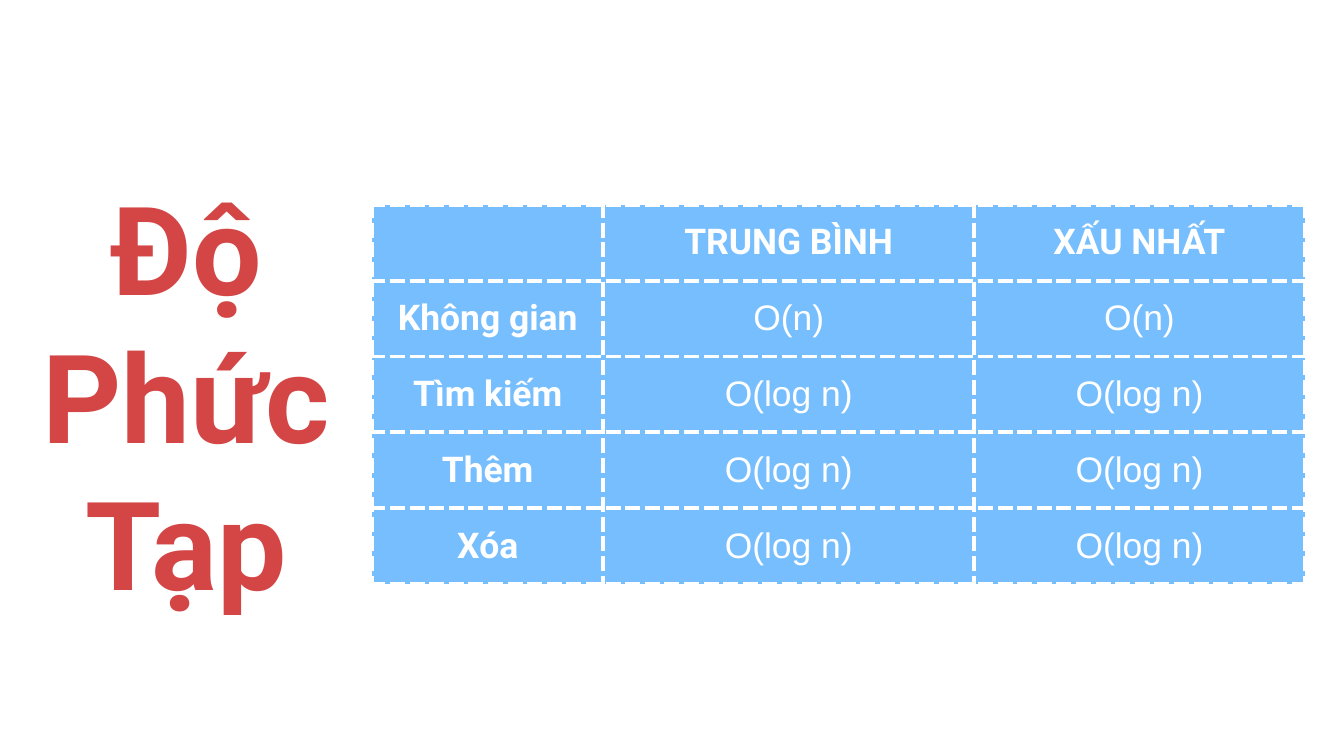
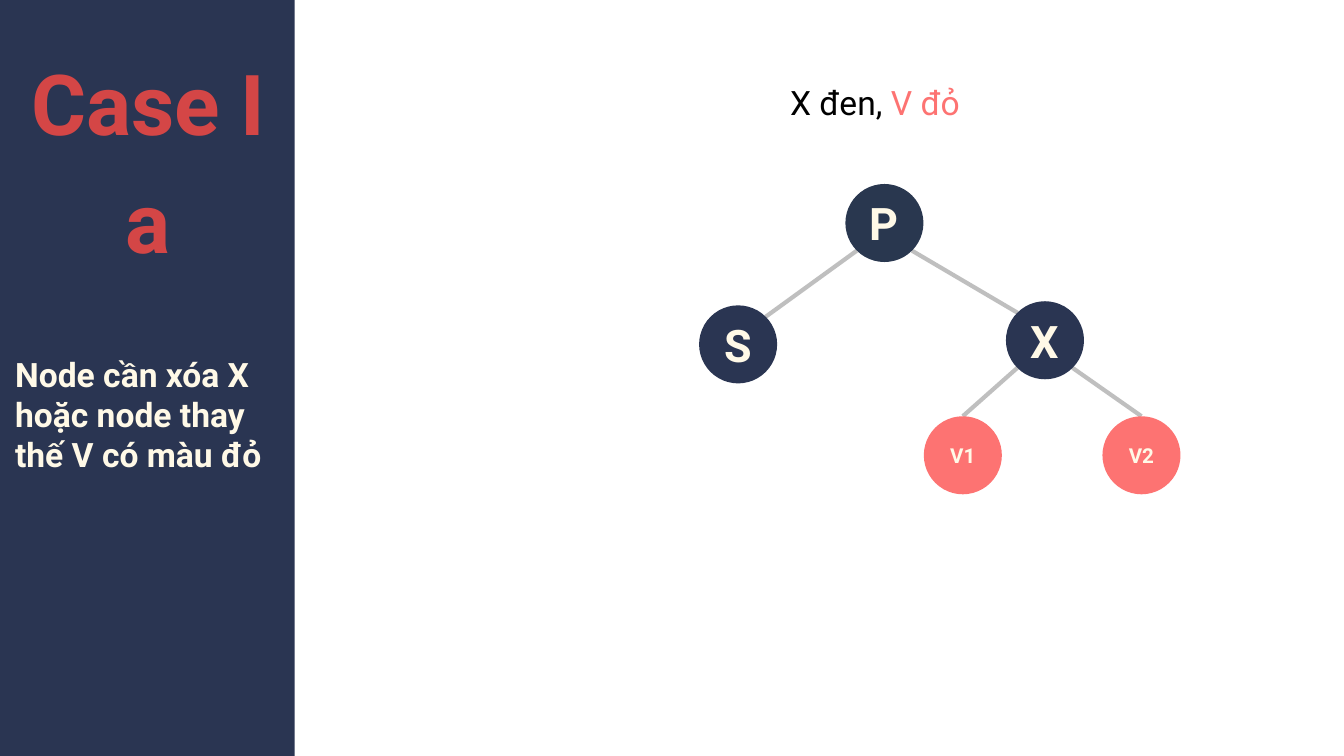
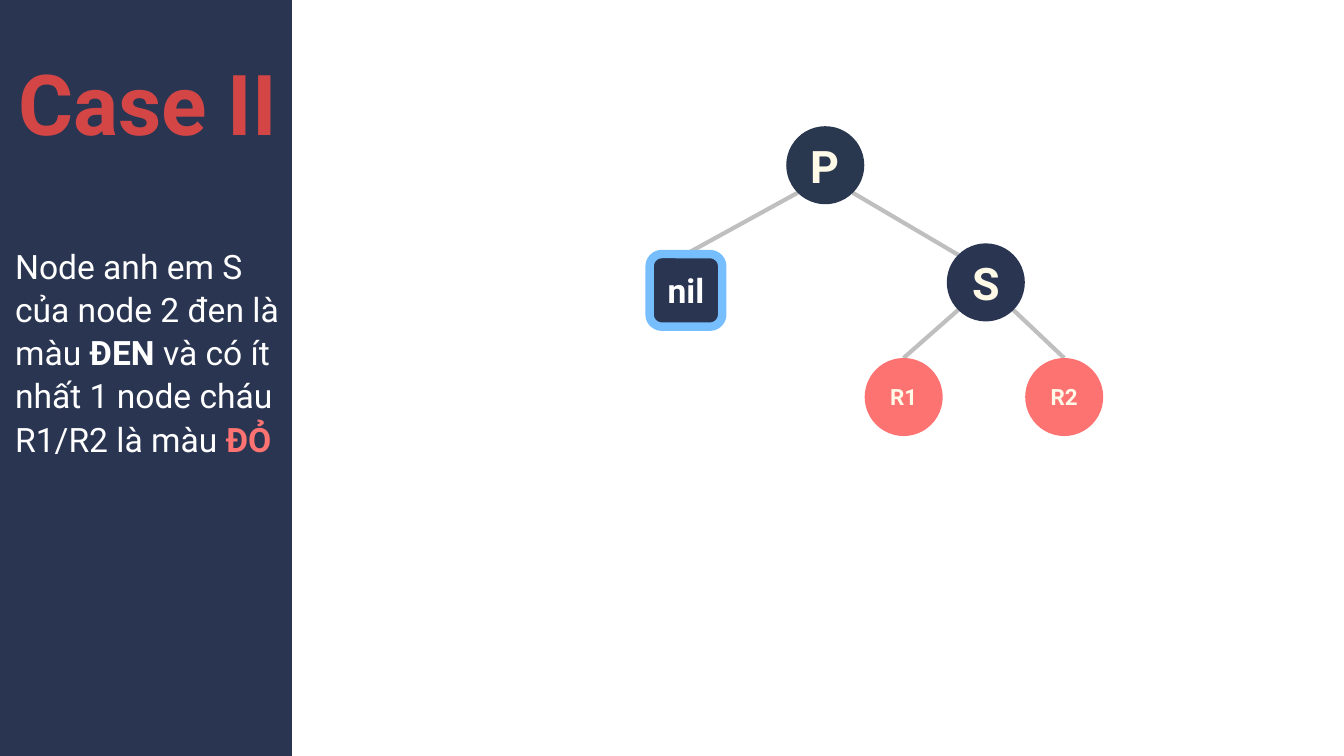
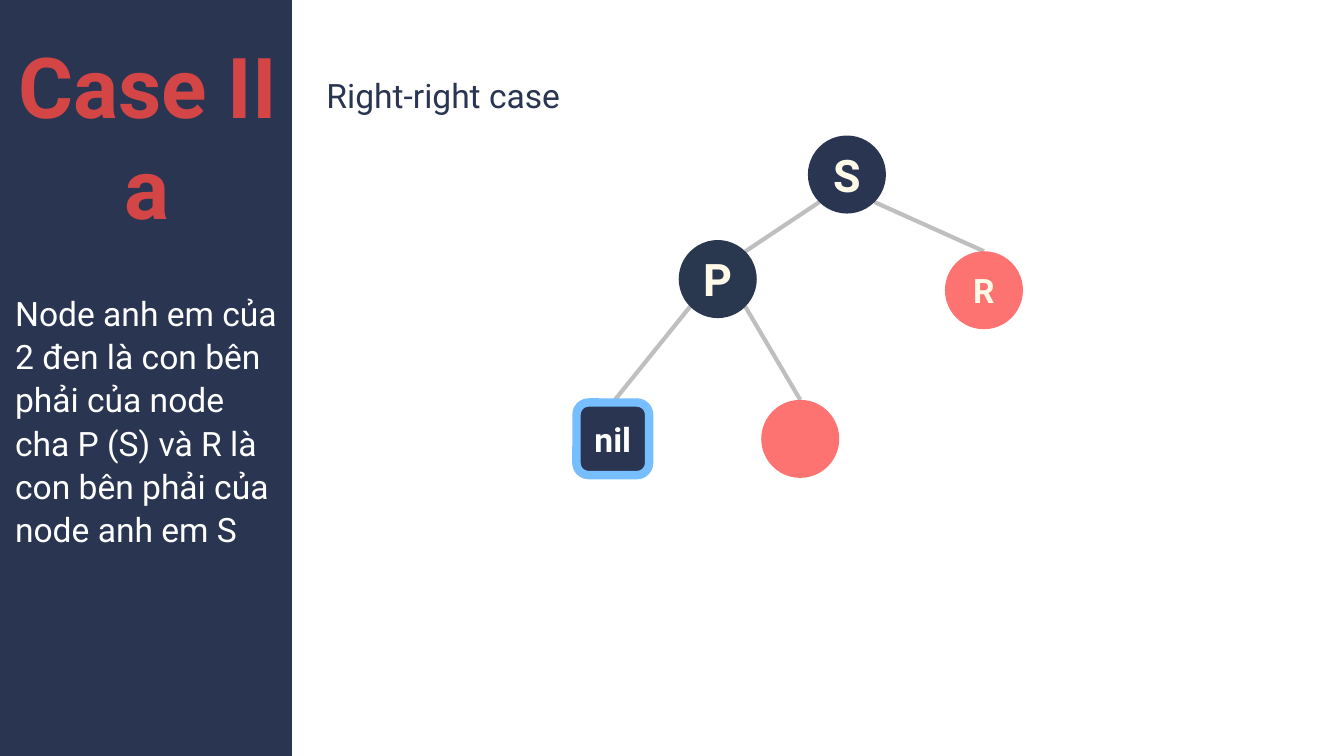
from dataclasses import dataclass
from math import sqrt

from lxml.etree import SubElement
from pptx import Presentation
from pptx.dml.color import RGBColor
from pptx.enum.shapes import MSO_CONNECTOR, MSO_SHAPE
from pptx.enum.text import MSO_ANCHOR, MSO_AUTO_SIZE, PP_ALIGN
from pptx.oxml import parse_xml
from pptx.oxml.ns import nsdecls, qn
from pptx.util import Pt

SLIDE_W, SLIDE_H = 720, 405
NAVY, SLATE, CORAL, SKY = "2A3552", "29374F", "FD7372", "76BEFE"
CRIMSON, CREAM, WHITE, BLACK, GREY = "D44646", "FFF9E7", "FFFFFF", "000000", "BFBFBF"
FONT, FIGURE_FONT = "Roboto", "Arial"
CIRCLE, SQUARE = 41.8, 38.9


@dataclass
class Node:
    """A tree node whose centre lies dx, dy points from the root's centre."""
    label: str
    dx: float
    dy: float
    fill: str = NAVY
    size: int = 24
    children: tuple = ()

    @property
    def is_nil(self):
        return self.label == "nil"

    @property
    def width(self):
        return SQUARE if self.is_nil else CIRCLE

    def upper_joint(self, parent):
        """Where the edge from the parent arrives: the top, or the near shoulder of a dark circle."""
        if self.is_nil or self.fill == CORAL:
            return self.dx, self.dy - self.width / 2
        return self.shoulder(parent.dx, -1)

    def shoulder(self, toward_x, vertical):
        reach = CIRCLE / 2 / sqrt(2)
        side = 1 if toward_x > self.dx else -1
        return self.dx + side * reach, self.dy + vertical * reach


def rgb(hex_colour):
    return RGBColor.from_string(hex_colour)


def style(font, size, colour, bold=False, name=FONT):
    font.name, font.size, font.bold = name, Pt(size), bold
    font.color.rgb = rgb(colour)


def set_insets(frame, inset=0):
    frame.margin_left = frame.margin_right = Pt(inset)
    frame.margin_top = frame.margin_bottom = Pt(inset / 2)


def place(shape, box):
    shape.left, shape.top, shape.width, shape.height = map(Pt, box)


def add_title(slide, box, lines, size, line_spacing=1.0):
    title = slide.shapes.title
    place(title, box)
    frame = title.text_frame
    frame.text = "\n".join(lines)
    frame.auto_size = MSO_AUTO_SIZE.NONE
    frame.vertical_anchor = MSO_ANCHOR.TOP
    set_insets(frame)
    for paragraph in frame.paragraphs:
        paragraph.alignment = PP_ALIGN.CENTER
        paragraph.line_spacing = line_spacing
        style(paragraph.font, size, CRIMSON, True)


def add_text(slide, box, runs, colour, bold=False, inset=0, line_spacing=1.0):
    """Add an 18-point paragraph; each run is text, colour or None, bold or None."""
    text_box = slide.shapes.add_textbox(*map(Pt, box))
    frame = text_box.text_frame
    frame.word_wrap = True
    set_insets(frame, inset)
    paragraph = frame.paragraphs[0]
    paragraph.line_spacing = line_spacing
    style(paragraph.font, 18, colour, bold)
    for text, run_colour, run_bold in runs:
        run = paragraph.add_run()
        run.text = text
        if run_colour:
            run.font.color.rgb = rgb(run_colour)
        if run_bold:
            run.font.bold = True


def add_filled(slide, preset, box, fill):
    shape = slide.shapes.add_shape(preset, *map(Pt, box))
    shape.shadow.inherit = False
    shape.fill.solid()
    shape.fill.fore_color.rgb = rgb(fill)
    shape.line.fill.background()
    return shape


def add_sidebar(slide, width, title_box, title, title_spacing, text_top, text_height, runs,
                **text_style):
    panel = add_filled(slide, MSO_SHAPE.RECTANGLE, (0, 0, width, SLIDE_H), NAVY)
    slide.shapes.title.element.addprevious(panel.element)
    add_title(slide, title_box, title, 45, title_spacing)
    add_text(slide, (8.1, text_top, 141.8, text_height), runs, **text_style)


def add_edges(slide, origin, parent):
    left, top = origin
    for child in parent.children:
        x1, y1 = parent.shoulder(child.dx, 1)
        x2, y2 = child.upper_joint(parent)
        edge = slide.shapes.add_connector(
            MSO_CONNECTOR.STRAIGHT, Pt(left + x1), Pt(top + y1), Pt(left + x2), Pt(top + y2))
        edge.line.color.rgb = rgb(GREY)
        edge.line.width = Pt(2.25)
        SubElement(edge.element.spPr, qn("a:effectLst"))
        add_edges(slide, origin, child)


def add_nodes(slide, origin, node):
    left, top = (start + offset - node.width / 2
                 for start, offset in zip(origin, (node.dx, node.dy)))
    preset = MSO_SHAPE.ROUNDED_RECTANGLE if node.is_nil else MSO_SHAPE.OVAL
    shape = add_filled(slide, preset, (left, top, node.width, node.width), node.fill)
    if node.is_nil:
        shape.line.color.rgb = rgb(SKY)
        shape.line.width = Pt(4.5)
    if node.label:
        frame = shape.text_frame
        set_insets(frame)
        frame.vertical_anchor = MSO_ANCHOR.MIDDLE
        paragraph = frame.paragraphs[0]
        paragraph.text = node.label
        paragraph.alignment = PP_ALIGN.CENTER
        style(paragraph.font, node.size, WHITE if node.is_nil else CREAM, True)
    for child in node.children:
        add_nodes(slide, origin, child)


def add_tree(slide, origin, root):
    """Draw a tree with its root centred on the origin, edges behind nodes."""
    add_edges(slide, origin, root)
    add_nodes(slide, origin, root)


def add_cell_borders(cell):
    properties = cell._tc.get_or_add_tcPr()
    for index, side in enumerate(("lnL", "lnR", "lnT", "lnB")):
        properties.insert(index, parse_xml(
            f'<a:{side} {nsdecls("a")} w="{Pt(2.25)}"><a:solidFill><a:srgbClr val="{WHITE}"/>'
            f'</a:solidFill><a:prstDash val="sysDash"/></a:{side}>'))


def add_complexity_table(slide, left, top, column_widths, row_height, rows):
    table = slide.shapes.add_table(
        len(rows), len(column_widths), Pt(left), Pt(top),
        Pt(sum(column_widths)), Pt(row_height * len(rows))).table
    table.first_row = table.horz_banding = False
    for column, width in zip(table.columns, column_widths):
        column.width = Pt(width)
    for r, row in enumerate(rows):
        table.rows[r].height = Pt(row_height)
        for c, text in enumerate(row):
            cell = table.cell(r, c)
            cell.fill.solid()
            cell.fill.fore_color.rgb = rgb(SKY)
            add_cell_borders(cell)
            cell.vertical_anchor = MSO_ANCHOR.MIDDLE
            cell.margin_left = cell.margin_right = Pt(10)
            cell.margin_top = cell.margin_bottom = Pt(5)
            is_heading = r == 0 or c == 0
            paragraph = cell.text_frame.paragraphs[0]
            paragraph.text = text
            paragraph.alignment = PP_ALIGN.CENTER
            style(paragraph.font, 19, WHITE, is_heading, FONT if is_heading else FIGURE_FONT)


def build_complexity(slide):
    add_title(slide, (0, 92.2, 199.4, 239.8), ["Độ Phức Tạp"], 66)
    add_complexity_table(slide, 199.4, 109.8, (123.8, 198.7, 177.1), 40.6, [
        ("", "TRUNG BÌNH", "XẤU NHẤT"),
        ("Không gian", "O(n)", "O(n)"),
        *((operation, "O(log n)", "O(log n)") for operation in ("Tìm kiếm", "Thêm", "Xóa")),
    ])


def build_case_1a(slide):
    add_sidebar(slide, 157.8, (14.4, 18.7, 130.3, 122.4), ["Case I", "a"], Pt(63), 189.4, 65.5,
                [("Node cần xóa X hoặc node thay thế V có màu đỏ", None, None)],
                colour=CREAM, bold=True)
    add_text(slide, (416.2, 40.3, 115.2, 28.8),
             [("X đen, ", None, None), ("V đỏ", CORAL, None)], BLACK, inset=7.2)
    add_tree(slide, (473.8, 119.5), Node("P", 0, 0, SLATE, children=(
        Node("S", -78.4, 65),
        Node("X", 86, 62.8, children=(
            Node("V1", 42, 124.4, CORAL, 11),
            Node("V2", 137.7, 124.4, CORAL, 11))))))


def build_case_2(slide):
    add_sidebar(slide, 156.4, (8.1, 18.7, 141.8, 59), ["Case II"], Pt(63), 130.3, 115.2,
                [("Node anh em S của node 2 đen là màu ", None, None), ("ĐEN ", None, True),
                 ("và có ít nhất 1 node cháu R1/R2 là màu ", None, None), ("ĐỎ", CORAL, True)],
                colour=WHITE, line_spacing=1.07)
    add_tree(slide, (442.1, 88.5), Node("P", 0, 0, SLATE, children=(
        Node("nil", -74.6, 67.1, size=18),
        Node("S", 86, 62.8, children=(
            Node("R1", 42, 124.2, CORAL, 12),
            Node("R2", 128, 124.2, CORAL, 12))))))


def build_case_2a(slide):
    add_sidebar(slide, 156.4, (8.1, 18.7, 141.8, 108.7), ["Case II", "a"], 1.0, 155.5, 138.2,
                [("Node anh em của 2 đen là con bên phải của node cha P (S) và R là con bên phải "
                  "của node anh em S", None, None)],
                colour=WHITE, line_spacing=1.07)
    add_text(slide, (167.8, 36.7, 140.4, 28.8), [("Right-right case", None, None)], NAVY,
             inset=7.2)
    add_tree(slide, (453.7, 93.5), Node("S", 0, 0, children=(
        Node("P", -69.2, 56, SLATE, children=(
            Node("nil", -125.4, 141.6, size=18),
            Node("", -25, 141.6, CORAL))),
        Node("R", 73.4, 62, CORAL, 18))))


def main():
    deck = Presentation()
    deck.slide_width, deck.slide_height = Pt(SLIDE_W), Pt(SLIDE_H)
    title_only = deck.slide_layouts[5]
    for build in (build_complexity, build_case_1a, build_case_2, build_case_2a):
        build(deck.slides.add_slide(title_only))
    deck.save("out.pptx")


if __name__ == "__main__":
    main()
